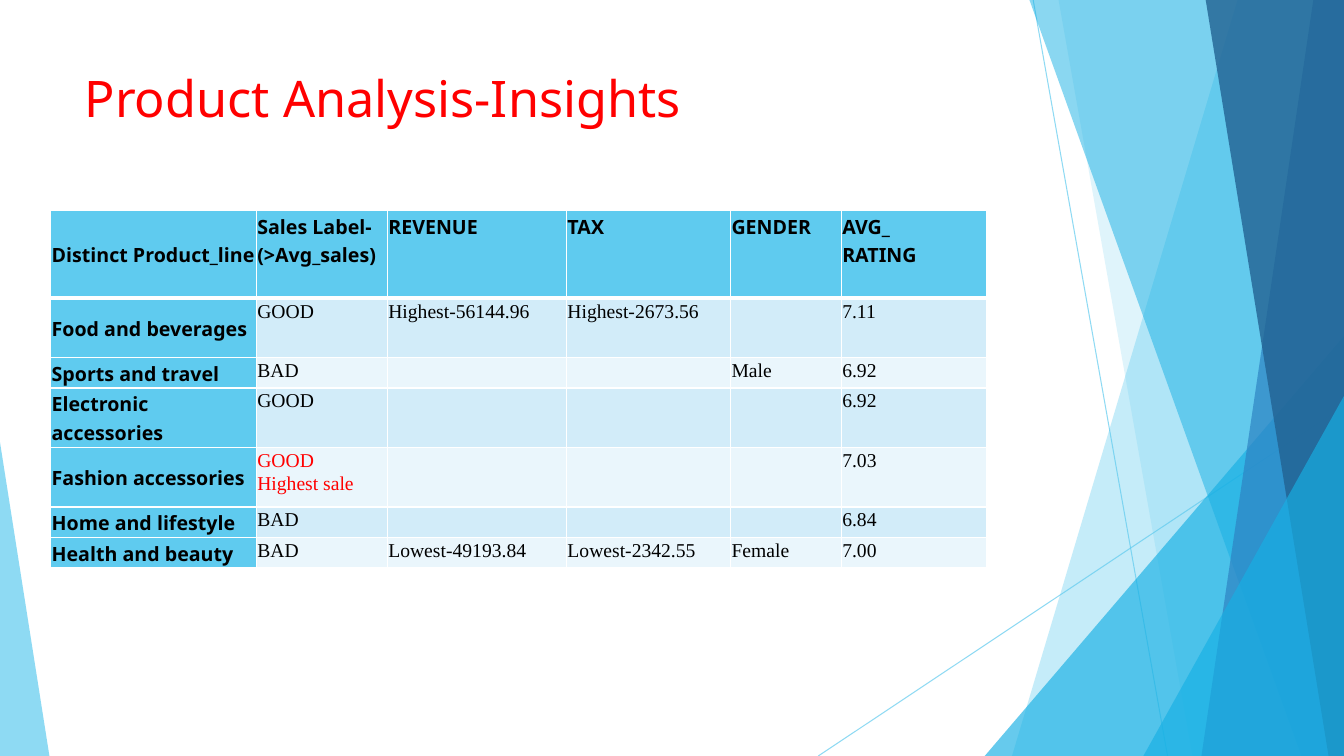
from lxml.etree import SubElement
from pptx import Presentation
from pptx.dml.color import RGBColor
from pptx.enum.shapes import MSO_CONNECTOR as Conn, MSO_SHAPE as Shape
from pptx.enum.text import MSO_ANCHOR as Anchor, MSO_AUTO_SIZE as Fit, PP_ALIGN as Align
from pptx.oxml.ns import qn
from pptx.util import Pt


def paint(fill, color, alpha=100):
    fill.solid()
    fill.fore_color.rgb = RGBColor.from_string(color)
    if alpha < 100:
        tint = fill._xPr.find(".//" + qn("a:srgbClr"))
        SubElement(tint, qn("a:alpha"), val=str(alpha * 1000))


def write(frame, text, font="Noto Sans", size=14, color="000000", bold=False, gap=1.0):
    for i, line in enumerate(text.split("\n")):
        par = frame.paragraphs[0] if i == 0 else frame.add_paragraph()
        par.alignment = Align.LEFT
        par.line_spacing = gap
        if not line:
            SubElement(par._p, qn("a:endParaRPr"), sz=str(size * 100))
            continue
        run = par.add_run()
        run.text = line
        run.font.name = font
        run.font.size = Pt(size)
        run.font.bold = bold
        run.font.color.rgb = RGBColor.from_string(color)


prs = Presentation()
prs.slide_width, prs.slide_height = Pt(960), Pt(540)
slide = prs.slides.add_slide(prs.slide_layouts[5])
shapes = slide.shapes

title = shapes.title
title.left, title.top, title.width, title.height = Pt(53.3), Pt(48.2), Pt(676.8), Pt(61.2)
frame = title.text_frame
frame.auto_size = Fit.NONE
frame.vertical_anchor = Anchor.TOP
frame.margin_top = 0
write(frame, "Product Analysis-Insights", size=36, color="FF0000")

for x1, y1, x2, y2 in [(738, 0, 834, 540), (960, 290, 584.5, 540)]:
    line = shapes.add_connector(Conn.STRAIGHT, Pt(x1), Pt(y1), Pt(x2), Pt(y2))
    line.line.width = Pt(0.75)
    paint(line.line.fill, "5FCBEF", 70)
    SubElement(line._element.spPr, qn("a:effectLst"))

bands = [
    ("free", 884.2, 722.9, "5FCBEF", 36),
    ("free", 756, 851.8, "5FCBEF", 20),
    ("tri", 703.4, 240, 256.6, 1, "17B0E4", 66),
    ("free", 735.1, 929.5, "17B0E4", 50),
    ("free", 938.2, 858.2, "2E83C3", 70),
    ("free", 861.1, 949, "226292", 80),
    ("tri", 816.7, 282.8, 143.3, 1, "17B0E4", 66),
    ("tri", 0, 316, 35.3, 0, "5FCBEF", 70),
]
for kind, *dims, color, alpha in bands:
    if kind == "free":
        top, base = dims
        path = shapes.build_freeform(Pt(top), Pt(-0.7))
        path.add_line_segments(
            [(Pt(960), Pt(-0.7)), (Pt(960), Pt(540)), (Pt(base), Pt(540))], close=True)
        band = path.convert_to_shape()
    else:
        x, y, wide, peak = dims
        band = shapes.add_shape(
            Shape.ISOSCELES_TRIANGLE, Pt(x), Pt(y), Pt(wide), Pt(540 - y))
        band.adjustments[0] = peak
    band.shadow.inherit = False
    band.line.fill.background()
    paint(band.fill, color, alpha)

rows = [
    ["Distinct Product_line", "Sales Label- (>Avg_sales)", "REVENUE", "TAX", "GENDER", "AVG_\nRATING"],
    ["Food and beverages", "GOOD", "Highest-56144.96", "Highest-2673.56", "", "7.11"],
    ["Sports and travel", "BAD", "", "", "Male", "6.92"],
    ["Electronic accessories", "GOOD", "", "", "", "6.92"],
    ["Fashion accessories", "GOOD\nHighest sale", "", "", "", "7.03"],
    ["Home and lifestyle", "BAD", "", "", "", "6.84"],
    ["Health and beauty", "BAD", "Lowest-49193.84", "Lowest-2342.55", "Female", "7.00"],
]
wides = [146.9, 93.6, 128, 117.2, 79.1, 103.8]
highs = [62.6, 42.3, 21.8, 42.3, 42.8, 21.4, 21.8]
table = shapes.add_table(
    len(rows), len(wides), Pt(36.2), Pt(150.4), Pt(sum(wides)), Pt(sum(highs))).table
for col, wide in zip(table.columns, wides):
    col.width = Pt(wide)
for r, (row, high) in enumerate(zip(rows, highs)):
    table.rows[r].height = Pt(high)
    for c, text in enumerate(row):
        cell = table.cell(r, c)
        cell.margin_left = cell.margin_right = Pt(0.7)
        cell.margin_top = cell.margin_bottom = Pt(0.7)
        cell.vertical_anchor = Anchor.MIDDLE if c == 0 else Anchor.TOP
        head = r == 0 or c == 0
        write(cell.text_frame, text, bold=head, gap=1.07,
              font="Noto Sans" if head else "Times New Roman",
              color="FF0000" if "Highest sale" in text else "000000")
        props = cell._tc.get_or_add_tcPr()
        for side in "LRTB":
            thick = 3 if (r, side) in [(0, "B"), (1, "T")] else 1
            edge = SubElement(props, qn("a:ln" + side), w=str(Pt(thick)))
            SubElement(SubElement(edge, qn("a:solidFill")), qn("a:srgbClr"), val="FFFFFF")
        paint(cell.fill, "5FCBEF" if head else "D2ECF9" if r % 2 else "EAF6FC")

prs.save("out.pptx")
